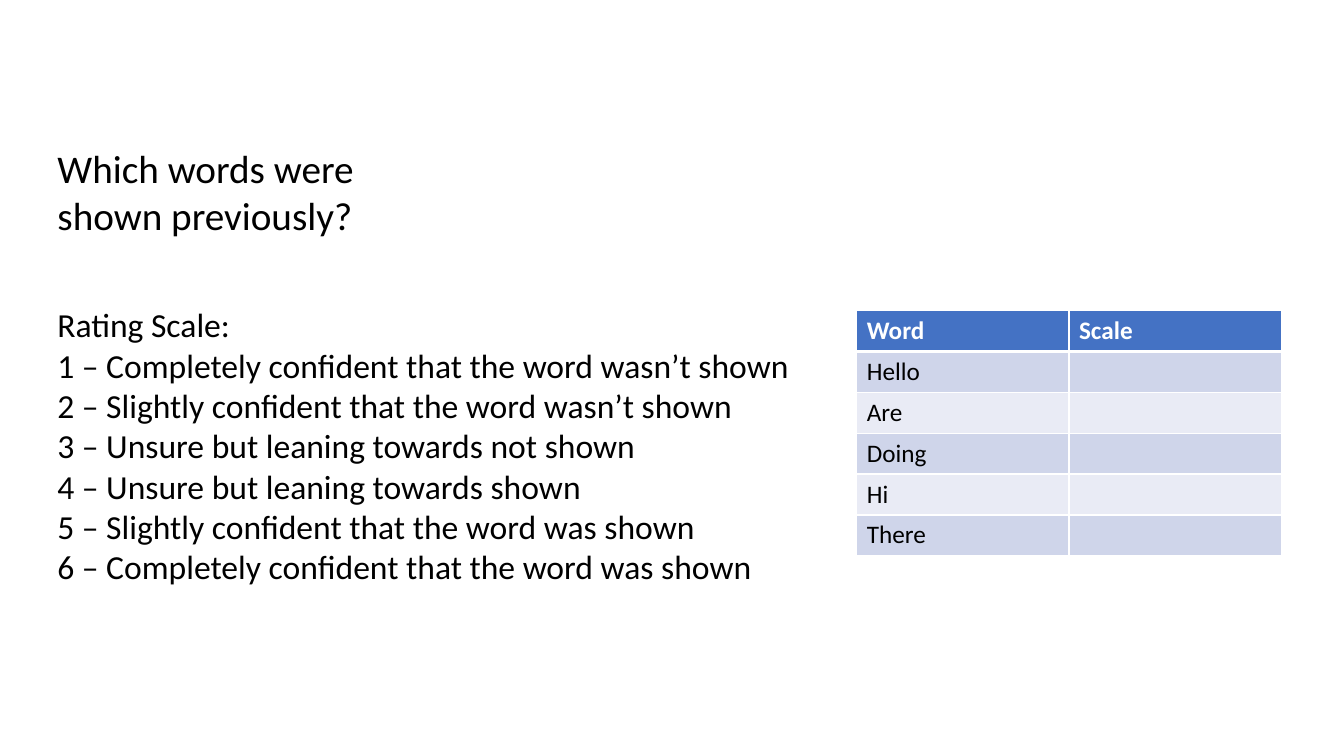
import pptx
import pptx.util
import pptx.dml.color
import pptx.enum.text
import pptx.oxml
import pptx.oxml.ns

Pt = pptx.util.Pt
RGBColor = pptx.dml.color.RGBColor

BLACK = RGBColor(0x00, 0x00, 0x00)
WHITE = RGBColor(0xFF, 0xFF, 0xFF)
HEADER_BLUE = RGBColor(0x44, 0x72, 0xC4)
BAND_DARK = RGBColor(0xCF, 0xD5, 0xEA)
BAND_LIGHT = RGBColor(0xE9, 0xEB, 0xF5)

LEFT = 33.84


def write_lines(text_frame, lines, size):
    text_frame.word_wrap = True
    text_frame.vertical_anchor = pptx.enum.text.MSO_ANCHOR.TOP
    text_frame.text = "\n".join(lines)
    font_format = {"name": "Calibri", "size": Pt(size), "bold": False}
    for paragraph in text_frame.paragraphs:
        paragraph.alignment = pptx.enum.text.PP_ALIGN.LEFT
        paragraph.line_spacing = 1.0
        for name, value in font_format.items():
            setattr(paragraph.runs[0].font, name, value)
        paragraph.runs[0].font.color.rgb = BLACK


def add_border(cell, side, width):
    cell_properties = cell._tc.get_or_add_tcPr()
    cell_properties.append(pptx.oxml.parse_xml(
        f'<a:{side} {pptx.oxml.ns.nsdecls("a")} w="{Pt(width)}">'
        f'<a:solidFill><a:srgbClr val="{WHITE}"/></a:solidFill></a:{side}>'))


presentation = pptx.Presentation()
presentation.slide_width = Pt(960)
presentation.slide_height = Pt(540)
slide = presentation.slides.add_slide(presentation.slide_layouts[5])

# Question
title = slide.shapes.title
title_place = {"left": LEFT, "top": 99.4, "width": 311, "height": 75}
for name, value in title_place.items():
    setattr(title, name, Pt(value))
title.text_frame.auto_size = pptx.enum.text.MSO_AUTO_SIZE.NONE
write_lines(title.text_frame, ["Which words were", "shown previously?"], 28)

# Rating scale
ratings = [
    "Completely confident that the word wasn’t shown",
    "Slightly confident that the word wasn’t shown",
    "Unsure but leaning towards not shown",
    "Unsure but leaning towards shown",
    "Slightly confident that the word was shown",
    "Completely confident that the word was shown",
]
rating_lines = [f"{number} – {rating}" for number, rating in enumerate(ratings, 1)]
scale_box = slide.shapes.add_textbox(Pt(LEFT), Pt(213.8), Pt(547), Pt(211))
write_lines(scale_box.text_frame, ["Rating Scale:"] + rating_lines, 24)

# Word table
words = ["Word", "Hello", "Are", "Doing", "Hi", "There"]
row_height = 29.2
table = slide.shapes.add_table(
    len(words), 2, Pt(612), Pt(221.8), Pt(303.2), Pt(row_height * len(words))).table
for row_index, word in enumerate(words):
    is_header = row_index == 0
    table.rows[row_index].height = Pt(row_height)
    row_fill = HEADER_BLUE if is_header else (BAND_LIGHT, BAND_DARK)[row_index % 2]
    for cell, text in zip(table.rows[row_index].cells, [word, "Scale" if is_header else ""]):
        for side in ("lnL", "lnR", "lnT", "lnB"):
            thick = (is_header and side == "lnB") or (row_index == 1 and side == "lnT")
            add_border(cell, side, 3 if thick else 1)
        cell.fill.solid()
        cell.fill.fore_color.rgb = row_fill
        cell.text = text
        font = cell.text_frame.paragraphs[0].font
        cell_format = {"name": "Calibri", "size": Pt(18), "bold": is_header}
        for name, value in cell_format.items():
            setattr(font, name, value)
        font.color.rgb = WHITE if is_header else BLACK

presentation.save("out.pptx")
